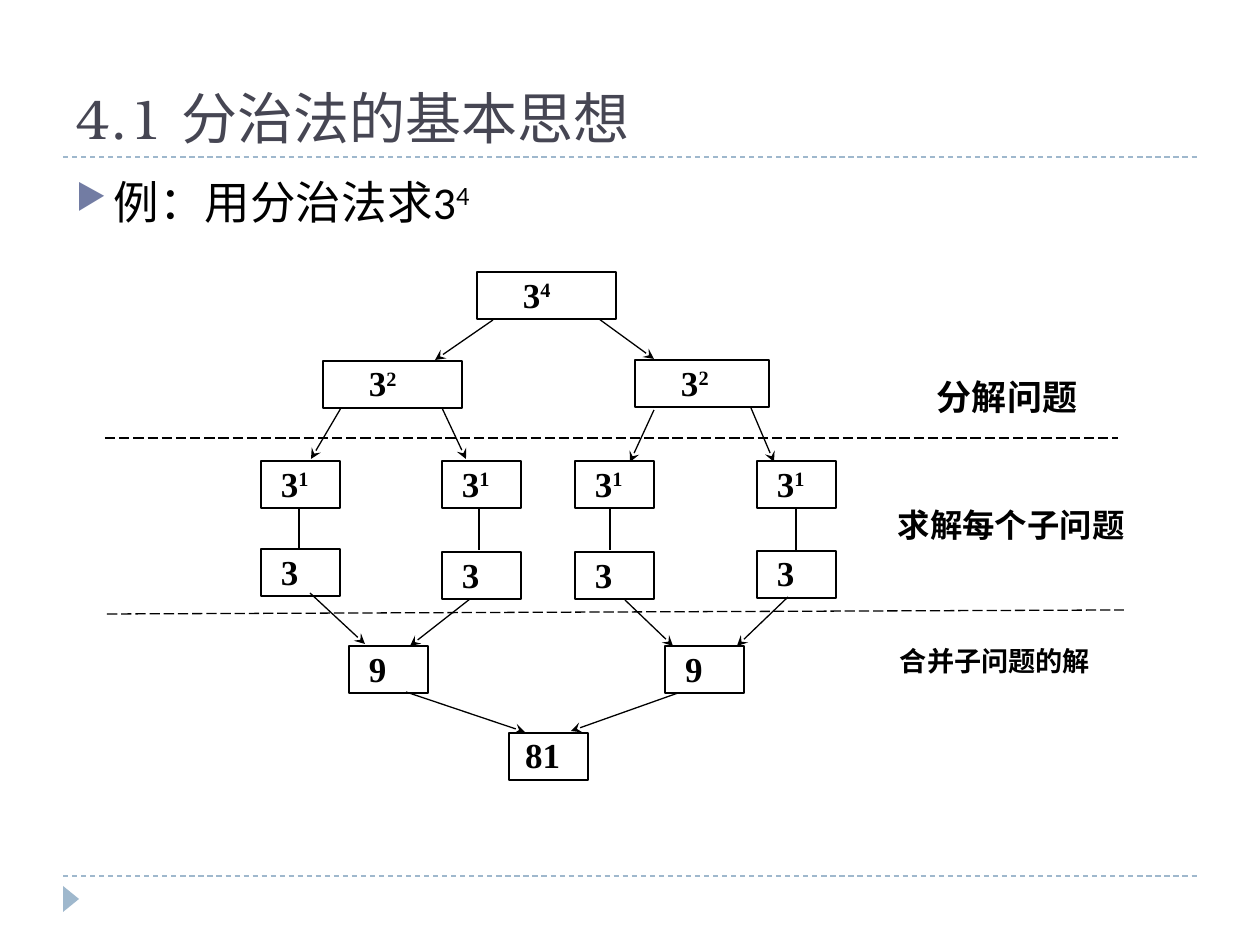
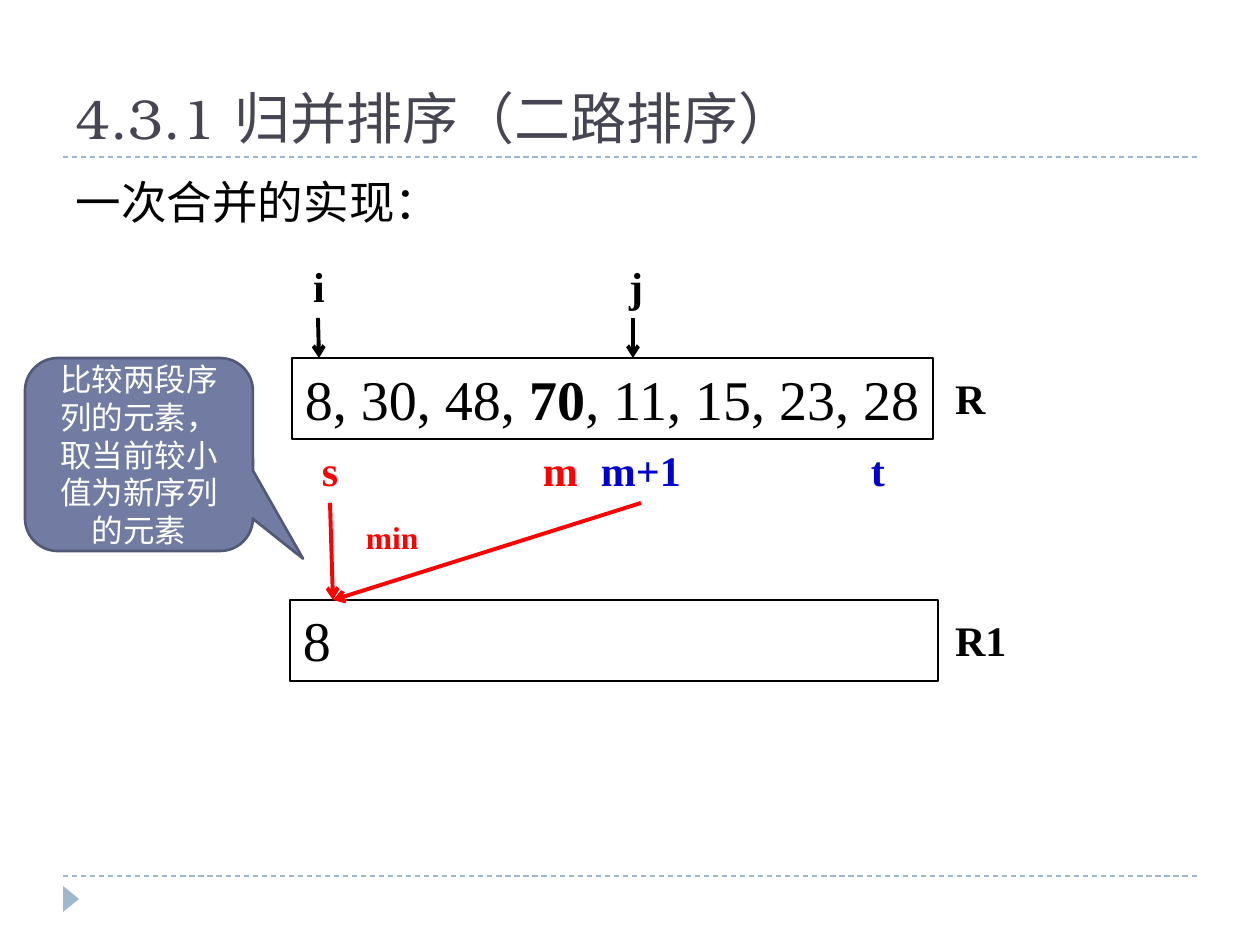
from lxml import etree
from pptx import Presentation
from pptx import util as u
from pptx.dml.color import RGBColor
from pptx.enum import dml, shapes, text
from pptx.oxml.ns import qn

PX = 914400 / 126
WIDTH, HEIGHT = 1260, 945

BLACK = RGBColor(0, 0, 0)
WHITE = RGBColor(255, 255, 255)
RED = RGBColor(255, 0, 0)
BLUE = RGBColor(0, 0, 0xCC)
TITLE = RGBColor(0x46, 0x46, 0x53)
RULE = RGBColor(0x9F, 0xB8, 0xCD)
ACCENT = RGBColor(0x72, 0x7C, 0xA3)
ACCENT_DARK = RGBColor(0x52, 0x59, 0x77)

HEADING_FONT, BODY_FONT, SERIF = "TeX Gyre Bonum", "Calibri", "Times New Roman"
INSETS = (13, 6, 13, 6)
CONTENT = (63, 168, 1134, 680)


def px(n):
    return u.Emu(round(n * PX))


def write(sp, *runs, font=SERIF, size=20, color=BLACK, bold=False, insets=INSETS,
          anchor=text.MSO_ANCHOR.TOP, align=text.PP_ALIGN.LEFT, wrap=True,
          spacing=None, bullet=None):
    """Fill sp with one paragraph; a run is text or (text, {bold, raised})."""
    tf = sp.text_frame
    tf.word_wrap = wrap
    tf.vertical_anchor = anchor
    tf.margin_left, tf.margin_top, tf.margin_right, tf.margin_bottom = map(px, insets)
    p = tf.paragraphs[0]
    p.alignment = align
    if spacing:
        p.line_spacing = spacing
    if bullet:
        add_bullet(p, bullet)
    for run in runs:
        words, extra = (run, {}) if isinstance(run, str) else run
        r = p.add_run()
        r.text = words
        r.font.name, r.font.size = font, u.Pt(size)
        r.font.color.rgb = color
        r.font.bold = extra.get("bold", bold)
        if extra.get("raised"):
            r._r.get_or_add_rPr().set("baseline", "30000")


def add_bullet(p, char):
    pPr = p._p.get_or_add_pPr()
    pPr.set("marL", str(px(38)))
    pPr.set("indent", str(px(-38)))
    clr = etree.SubElement(pPr, qn("a:buClr"))
    etree.SubElement(clr, qn("a:srgbClr"), val=str(ACCENT))
    etree.SubElement(pPr, qn("a:buSzPct"), val="76000")
    etree.SubElement(pPr, qn("a:buChar"), char=char)


def add_text(s, box, *runs, **fmt):
    sp = s.shapes.add_textbox(*map(px, box))
    write(sp, *runs, **fmt)


def add_box(s, box, kind=shapes.MSO_SHAPE.RECTANGLE, fill=None, line=BLACK, width=0.75):
    sp = s.shapes.add_shape(kind, *map(px, box))
    sp.shadow.inherit = False
    if fill is None:
        sp.fill.background()
    else:
        sp.fill.solid()
        sp.fill.fore_color.rgb = fill
    if line is None:
        sp.line.fill.background()
    else:
        sp.line.color.rgb = line
        sp.line.width = u.Pt(width)
    return sp


def add_line(s, x1, y1, x2, y2, color=BLACK, width=0.75, dash=None, arrow=None):
    cn = s.shapes.add_connector(shapes.MSO_CONNECTOR.STRAIGHT, *map(px, (x1, y1, x2, y2)))
    cn.line.color.rgb = color
    cn.line.width = u.Pt(width)
    if dash:
        cn.line.dash_style = dash
    if arrow:
        etree.SubElement(cn.line._get_or_add_ln(), qn("a:tailEnd"), type=arrow)
    etree.SubElement(cn._element.spPr, qn("a:effectLst"))


def add_frame(prs, title):
    """Start a slide with its title, two rules and the corner triangle."""
    s = prs.slides.add_slide(prs.slide_layouts[6])
    for y in (876, 157):
        add_line(s, 63, y, 1197, y, RULE, dash=dml.MSO_LINE.DASH)
    mark = add_box(s, (58, 891, 26, 16), shapes.MSO_SHAPE.ISOSCELES_TRIANGLE, RULE, None)
    mark.rotation = 90
    add_text(s, (63, 21, 1134, 136), title, font=HEADING_FONT, size=32, color=TITLE,
             anchor=text.MSO_ANCHOR.BOTTOM)
    return s


def power_tree(s, x, y):
    """Draw the divide, solve and combine tree with its top left at x, y."""
    def node(left, top, base, exponent="", width=79, indent=20):
        runs = [base] + ([(exponent, {"raised": True})] if exponent else [])
        write(add_box(s, (x + left, y + top, width, 47)), *runs, bold=True,
              insets=(indent, 1, 3, 1))

    def edge(x1, y1, x2, y2, **fmt):
        add_line(s, x + x1, y + y1, x + x2, y + y2, **fmt)

    for left, top, exponent, width in ((373, 0, "4", 139), (219, 89, "2", 139),
                                       (531, 88, "2", 134)):
        node(left, top, "3", exponent, width, 46)
    for left, solved_top, link in ((157, 277, 195), (338, 280, 375),
                                   (471, 280, 506), (653, 279, 692)):
        node(left, 189, "3", "1")
        node(left, solved_top, "3")
        edge(link, 236, link, 278)
    for left in (245, 561):
        node(left, 374, "9")
    node(405, 461, "81", indent=16)

    splits = ((389, 48, 331, 88), (495, 47, 550, 87),
              (237, 136, 207, 187), (338, 136, 362, 187),
              (550, 138, 526, 190), (647, 136, 670, 190))
    merges = ((206, 321, 261, 372), (366, 327, 306, 374),
              (521, 328, 569, 374), (684, 325, 633, 374),
              (302, 420, 421, 460), (574, 421, 467, 459))
    for ends in splits + merges:
        edge(*ends, arrow="stealth")
    for ends in ((1, 166, 1014, 166), (3, 342, 1020, 338)):
        edge(*ends, dash=dml.MSO_LINE.LONG_DASH)

    for left, top, words, size, spacing in ((833, 103, "分解问题", 20, None),
                                            (794, 238, "求解每个子问题", 18.5, 0.9),
                                            (796, 379, "合并子问题的解", 15.5, 0.8)):
        add_text(s, (x + left, y + top, 300, 42), words, size=size, bold=True,
                 insets=(0, 0, 0, 0), spacing=spacing)


def merge_step(s, x, y):
    """Draw sequences R and R1 with their index marks; R has its top left at x, y."""
    def label(left, top, words, color=BLACK, size=24):
        add_text(s, (x + left, y + top, 130, 63), words, size=size, color=color, bold=True)

    def arrow(x1, y1, x2, y2, color=BLACK):
        add_line(s, x + x1, y + y1, x + x2, y + y2, color, 2.25, arrow="arrow")

    rows = (((0, 0, 641, 81), ["8, 30, 48, ", ("70", {"bold": True}), ", 11, 15, 23, 28"]),
            ((-2, 242, 648, 81), ["8"]))
    for (left, top, w, h), runs in rows:
        write(add_box(s, (x + left, y + top, w, h), fill=WHITE), *runs, size=32, wrap=False)

    for left, words, color in ((17, "s", RED), (238, "m", RED),
                               (296, "m+1", BLUE), (566, "t", BLUE)):
        label(left, 81, words, color)
    for left, words in ((8, "i"), (324, "j")):
        label(left, -103, words)
    for top, words in ((9, "R"), (251, "R1")):
        label(650, top, words)
    label(61, 154, "min", RED, 18)

    arrow(26, -40, 27, 0)
    arrow(341, -40, 341, 0)
    for start in (38, 349):
        arrow(start, 145, 41, 242, RED)


def callout(s, box, words):
    sp = add_box(s, box, shapes.MSO_SHAPE.ROUNDED_RECTANGULAR_CALLOUT,
                 ACCENT, ACCENT_DARK, 1.5)
    for i, value in enumerate((0.72, 0.54, 0.17)):
        sp.adjustments[i] = value
    write(sp, words, font=BODY_FONT, size=18, color=WHITE,
          anchor=text.MSO_ANCHOR.MIDDLE, align=text.PP_ALIGN.CENTER)


def main():
    prs = Presentation()
    prs.slide_width, prs.slide_height = px(WIDTH), px(HEIGHT)

    s = add_frame(prs, "4.1 分治法的基本思想")
    add_text(s, CONTENT, "例：用分治法求3", ("4", {"raised": True}),
             font=BODY_FONT, size=26, bullet="▶")
    power_tree(s, 104, 272)

    s = add_frame(prs, "4.3.1 归并排序（二路排序）")
    add_text(s, CONTENT, "一次合并的实现：", font=BODY_FONT, size=26)
    merge_step(s, 292, 358)
    callout(s, (25, 358, 228, 193), "比较两段序列的元素，取当前较小值为新序列的元素")

    prs.save("out.pptx")


if __name__ == "__main__":
    main()
